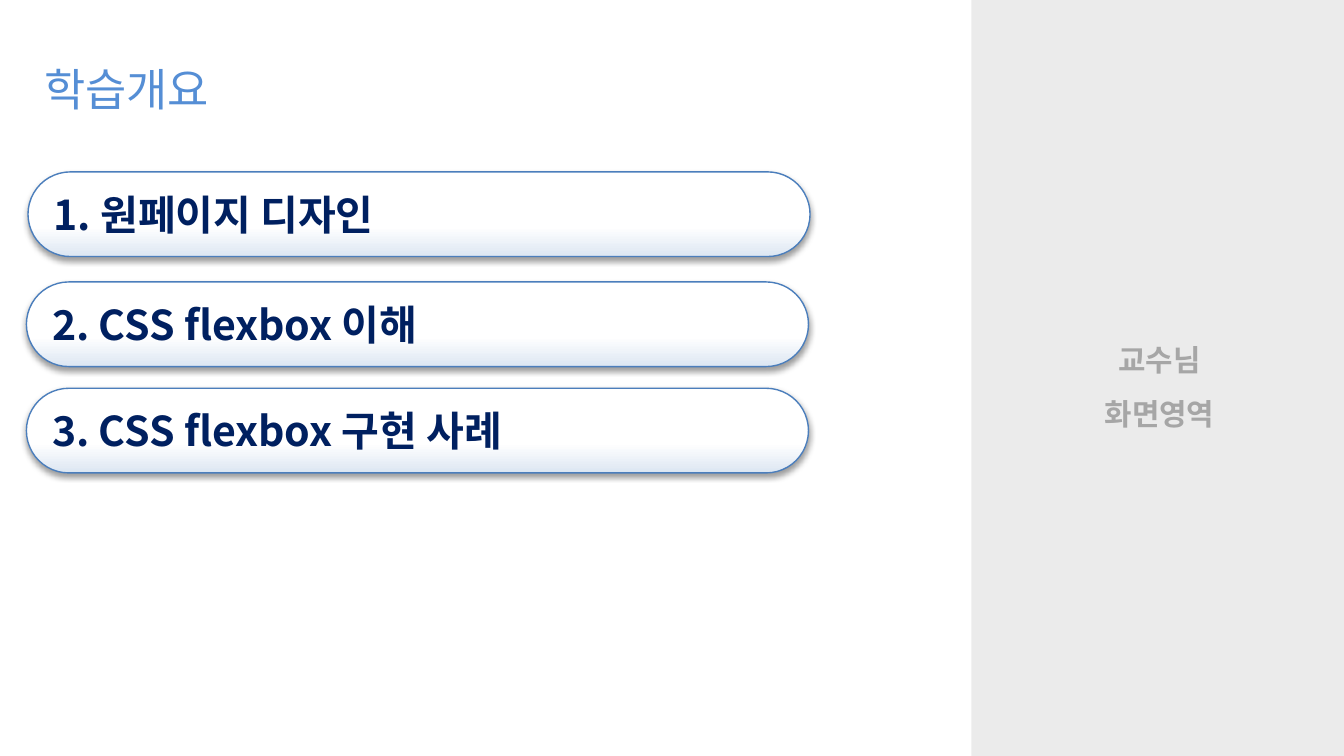
"""Build the lecture overview slide with three topic bars and a presenter panel."""
from lxml import etree
from pptx import Presentation
from pptx import util as u
from pptx.dml.color import RGBColor
from pptx.enum import shapes, text
from pptx.oxml import ns

WHITE = RGBColor(0xFF, 0xFF, 0xFF)
PALE = RGBColor(0xDC, 0xE6, 0xF2)
EDGE = RGBColor(0x4B, 0x7E, 0xBC)
BLUE = RGBColor(0x55, 0x8E, 0xD5)
NAVY = RGBColor(0x00, 0x20, 0x60)
PANEL = RGBColor(0xD9, 0xD9, 0xD9)
GREY = RGBColor(0xA6, 0xA6, 0xA6)
FONT = "Noto Sans CJK KR"


def sub(parent, tag, **attrs):
    return etree.SubElement(parent, ns.qn(tag), attrs)


def write(sp, lines, size, color, font=FONT, bold=False, spacing=1.0,
          align=text.PP_ALIGN.LEFT, anchor=text.MSO_ANCHOR.MIDDLE):
    tf = sp.text_frame
    tf.word_wrap = True
    tf.vertical_anchor = anchor
    tf.text = lines
    for p in tf.paragraphs:
        p.alignment, p.line_spacing = align, spacing
        r = p.runs[0]
        r.font.name, r.font.size, r.font.bold = font, u.Pt(size), bold
        r.font.color.rgb = color
        sub(r.font._element, "a:ea", typeface=font)


prs = Presentation()
prs.slide_width, prs.slide_height = u.Cm(25.4), u.Cm(14.29)
s = prs.slides.add_slide(prs.slide_layouts[5])

title = s.shapes.title
title.left, title.top, title.width, title.height = u.Cm(0.58), u.Cm(0.94), u.Cm(16.97), u.Cm(1.3)
write(title, "학습개요", 24, BLUE, spacing=1.1, anchor=text.MSO_ANCHOR.TOP)
title.text_frame.auto_size = text.MSO_AUTO_SIZE.NONE

panel = s.shapes.add_shape(shapes.MSO_SHAPE.RECTANGLE, u.Cm(18.36), 0, u.Cm(7.11), prs.slide_height)
panel.shadow.inherit = False
panel.fill.solid()
panel.fill.fore_color.rgb = PANEL
sub(panel._element.spPr.find(ns.qn("a:solidFill"))[0], "a:alpha", val="50000")
panel.line.fill.background()
write(panel, "교수님\n화면영역", 16, GREY, font="Arial", bold=True, spacing=1.5,
      align=text.PP_ALIGN.CENTER)

topics = [
    (0.53, 3.25, "1. 원페이지 디자인"),
    (0.5, 5.33, "2. CSS flexbox 이해"),
    (0.5, 7.34, "3. CSS flexbox 구현 사례"),
]
for left, top, topic in topics:
    bar = s.shapes.add_shape(shapes.MSO_SHAPE.ROUNDED_RECTANGLE, u.Cm(left), u.Cm(top),
                             u.Cm(14.78), u.Cm(1.6))
    bar.adjustments[0] = 0.5
    bar.fill.gradient()
    bar.fill.gradient_angle = 90
    for stop, color, position in zip(bar.fill.gradient_stops, (PALE, WHITE), (0, 0.35)):
        stop.color.rgb, stop.position = color, position
    bar.line.color.rgb, bar.line.width = EDGE, u.Pt(0.75)
    bar.shadow.inherit = False
    shadow = sub(bar._element.spPr.find(ns.qn("a:effectLst")), "a:outerShdw",
                 blurRad="40000", dist="20000", dir="5400000", rotWithShape="0")
    sub(sub(shadow, "a:srgbClr", val="000000"), "a:alpha", val="38000")
    write(bar, topic, 22, NAVY, bold=True)

prs.save("out.pptx")
